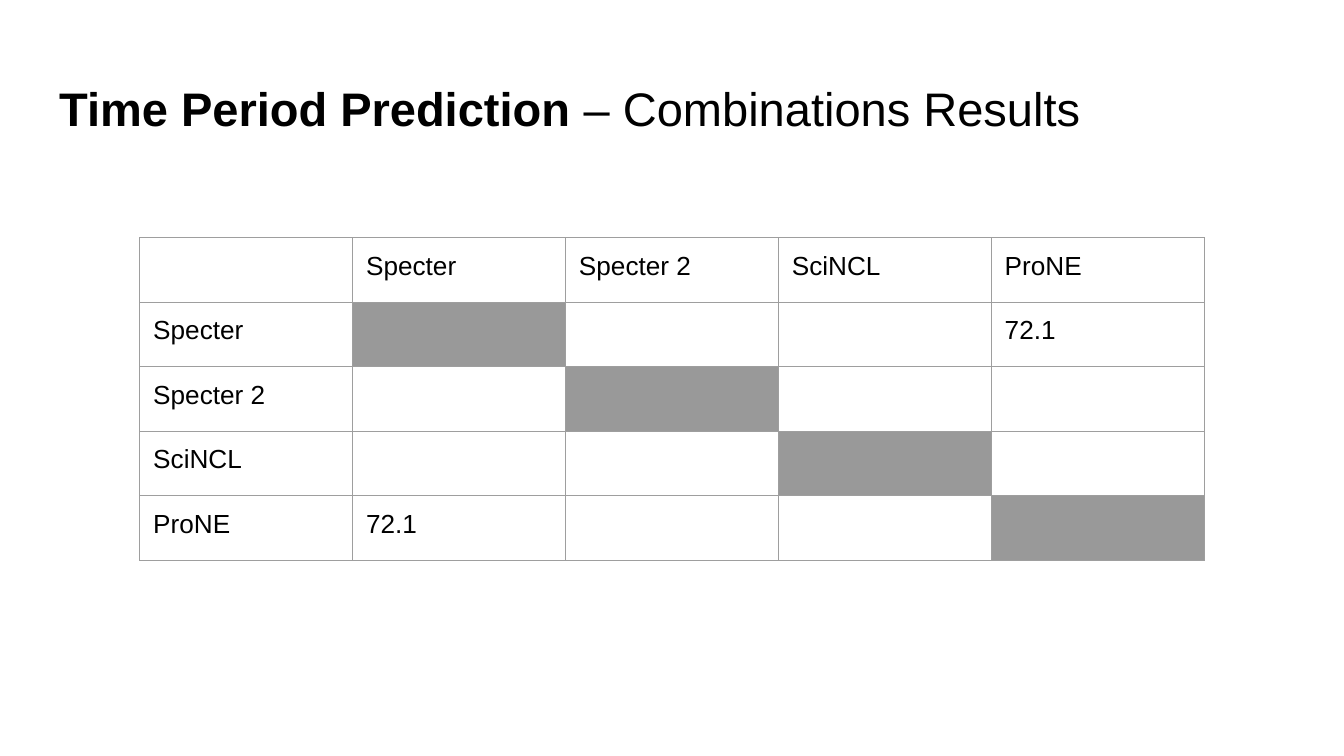
from lxml import etree
from pptx import Presentation
from pptx.dml.color import RGBColor
from pptx.enum.text import MSO_ANCHOR as Anchor, PP_ALIGN as Align
from pptx.oxml.ns import qn
from pptx.util import Inches, Pt

BLACK, WHITE = "000000", "FFFFFF"
DIAGONAL_GREY, BORDER_GREY = "999999", "9E9E9E"
MODELS = ["Specter", "Specter 2", "SciNCL", "ProNE"]
SCORES = {("Specter", "ProNE"): "72.1", ("ProNE", "Specter"): "72.1"}
INSETS = {f"margin_{side}": Inches(0.1) for side in ("left", "top", "right", "bottom")}


def colour(hex_value):
    return RGBColor.from_string(hex_value)


def set_attributes(target, values):
    for name, value in values.items():
        setattr(target, name, value)


def format_font(font, size, bold=False):
    set_attributes(font, {"name": "Arial", "size": Pt(size), "bold": bold})
    font.color.rgb = colour(BLACK)


def add_title(slide, left, top, width, height):
    title = slide.shapes.title
    set_attributes(title, {"left": Inches(left), "top": Inches(top),
                           "width": Inches(width), "height": Inches(height)})
    frame = title.text_frame
    set_attributes(frame, {**INSETS, "word_wrap": True,
                           "vertical_anchor": Anchor.MIDDLE})
    paragraph = frame.paragraphs[0]
    paragraph.alignment = Align.LEFT
    for text, bold in (("Time Period Prediction", True),
                       (" – Combinations Results", False)):
        run = paragraph.add_run()
        run.text = text
        format_font(run.font, 25.2, bold)


def add_borders(cell, hex_value, width):
    properties = cell._tc.get_or_add_tcPr()
    for position, side in enumerate(("a:lnL", "a:lnR", "a:lnT", "a:lnB")):
        line = etree.Element(qn(side), w=str(Pt(width)))
        fill = etree.SubElement(line, qn("a:solidFill"))
        etree.SubElement(fill, qn("a:srgbClr"), val=hex_value)
        properties.insert(position, line)  # borders come before the fill


def format_cell(cell, text, fill):
    set_attributes(cell, {**INSETS, "vertical_anchor": Anchor.TOP, "text": text})
    format_font(cell.text_frame.paragraphs[0].font, 14)
    cell.fill.solid()
    cell.fill.fore_color.rgb = colour(fill)
    add_borders(cell, BORDER_GREY, 0.75)


def add_results_table(slide, left, top, width, height):
    # Header row and column, then one score for each pair of models
    rows = [["", *MODELS]]
    rows += [[model, *(SCORES.get((model, other), "") for other in MODELS)]
             for model in MODELS]
    count = len(rows)
    table = slide.shapes.add_table(count, count, Inches(left), Inches(top),
                                   Inches(width), Inches(height)).table
    set_attributes(table, {"first_row": False, "horz_banding": False})
    for row, texts in enumerate(rows):
        for column, text in enumerate(texts):
            on_diagonal = row == column > 0
            format_cell(table.cell(row, column), text,
                        DIAGONAL_GREY if on_diagonal else WHITE)


def main():
    presentation = Presentation()
    # Widescreen, 16 to 9
    set_attributes(presentation, {"slide_width": Inches(10),
                                  "slide_height": Inches(10) * 9 // 16})
    slide = presentation.slides.add_slide(presentation.slide_layouts[5])
    add_title(slide, 0.34, 0.49, 9.32, 0.63)
    add_results_table(slide, 1.04, 1.77, 7.92, 2.4)
    presentation.save("out.pptx")


if __name__ == "__main__":
    main()
